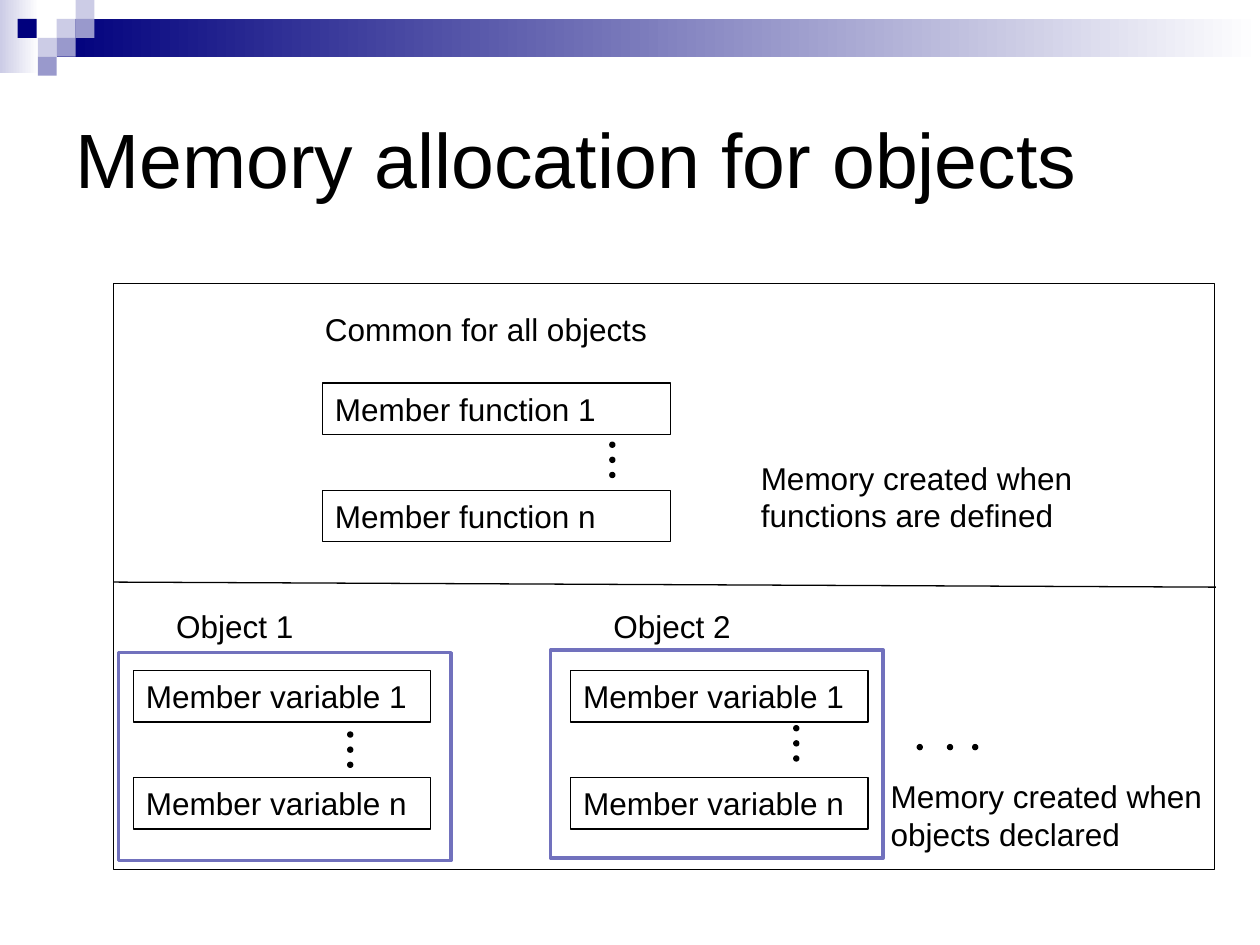
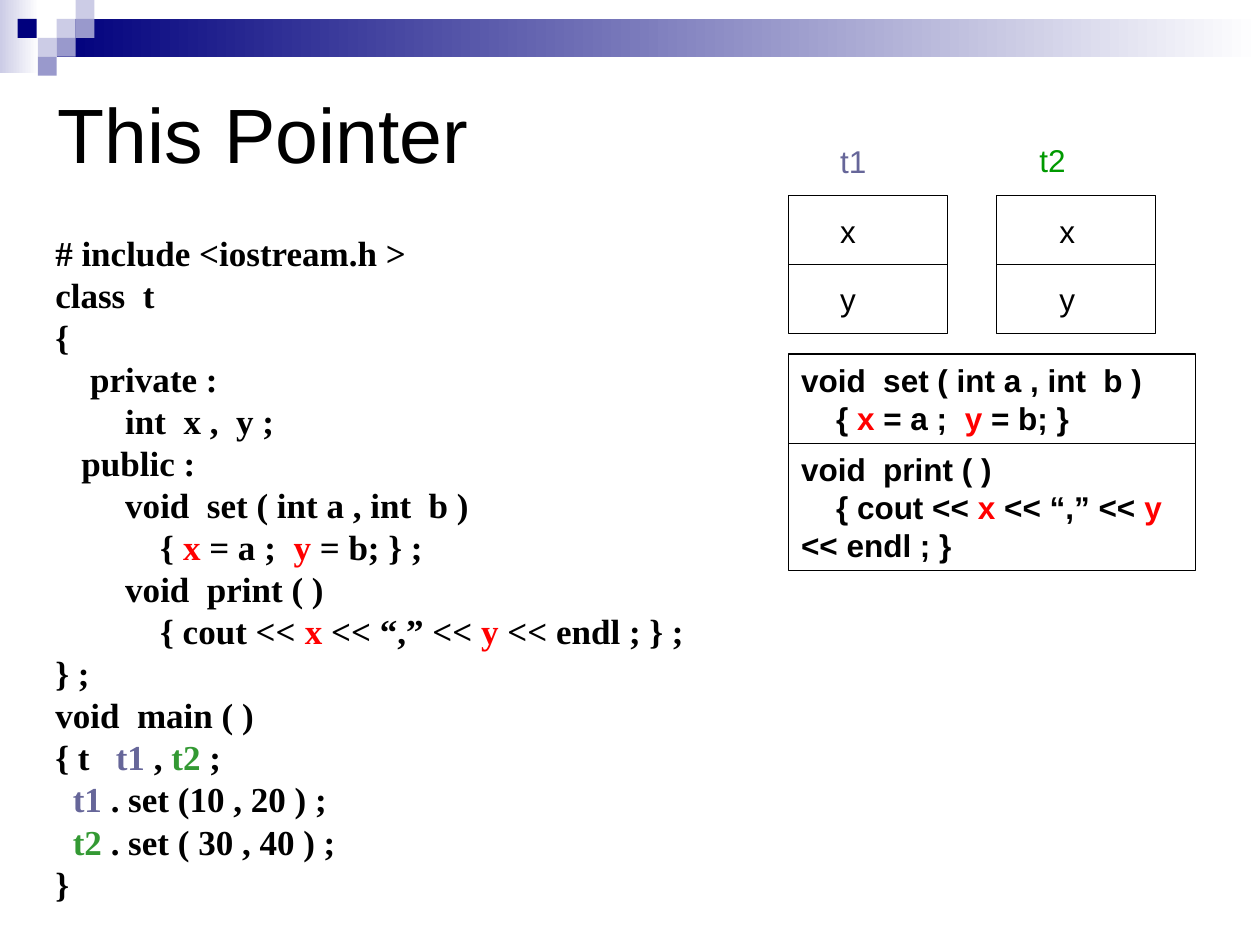
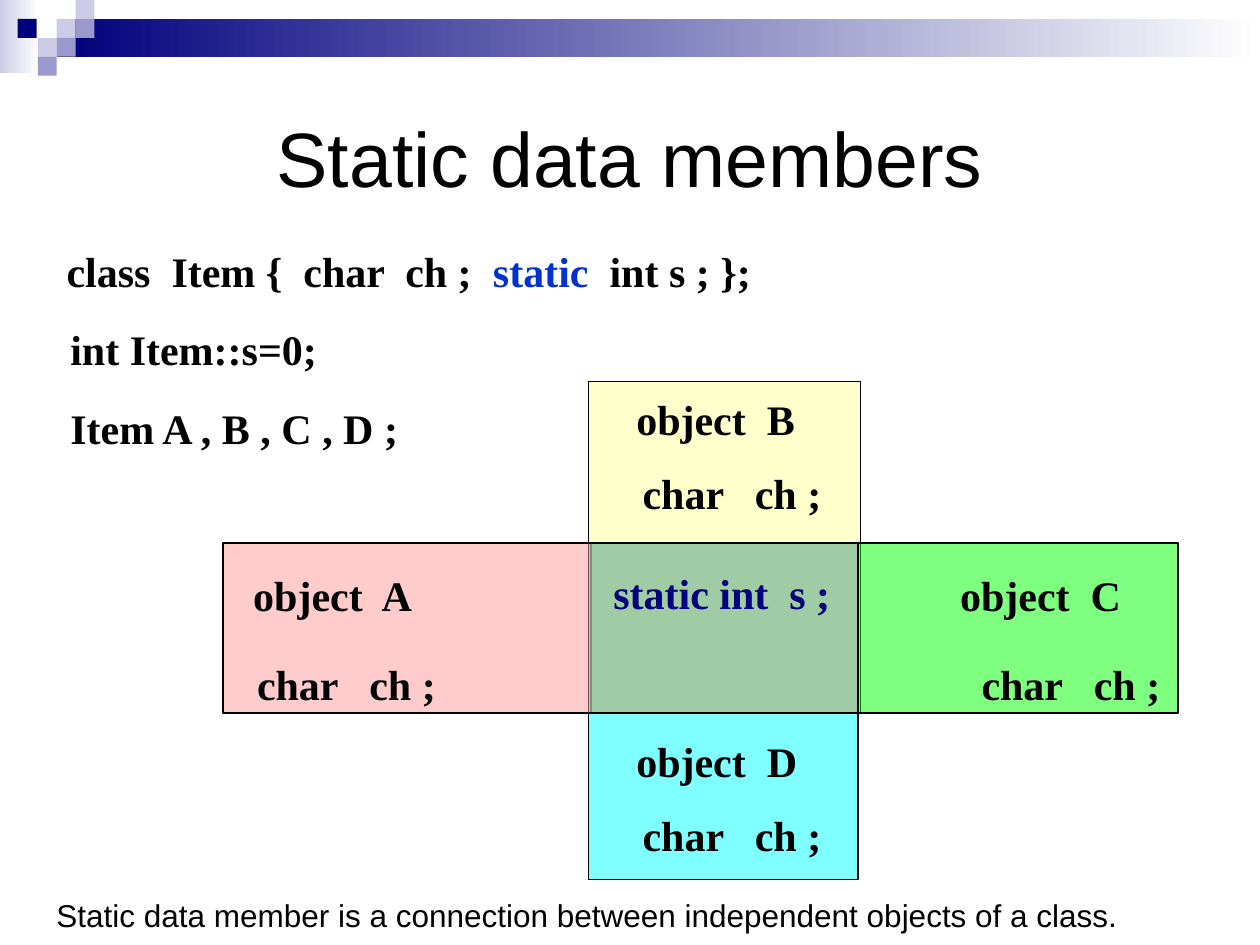
"""Build three slides on objects, the this pointer and static members in C++."""
from pptx import Presentation
from pptx.dml.color import RGBColor
from pptx.enum.shapes import MSO_CONNECTOR as Connector, MSO_SHAPE as Shape
from pptx.enum.text import MSO_ANCHOR as Anchor, PP_ALIGN as Align
from pptx.oxml.ns import qn
from pptx.util import Inches, Pt
from lxml.etree import SubElement

BLACK = RGBColor(0x00, 0x00, 0x00)
WHITE = RGBColor(0xFF, 0xFF, 0xFF)
NAVY = RGBColor(0x00, 0x00, 0x7D)
LAVENDER = RGBColor(0xCC, 0xCC, 0xE6)
PERIWINKLE = RGBColor(0x99, 0x99, 0xCC)
FRAME_BLUE = RGBColor(0x71, 0x71, 0xBD)
RED = RGBColor(0xFF, 0x00, 0x00)
SLATE = RGBColor(0x66, 0x66, 0x99)
CODE_GREEN = RGBColor(0x33, 0x99, 0x33)
LABEL_GREEN = RGBColor(0x00, 0x99, 0x00)
KEYWORD_BLUE = RGBColor(0x00, 0x33, 0xCC)
PALE_YELLOW = RGBColor(0xFF, 0xFF, 0x99)
LIME = RGBColor(0x00, 0xFF, 0x00)
CYAN = RGBColor(0x00, 0xFF, 0xFF)
PINK = RGBColor(0xFF, 0x99, 0x99)

SANS = "Arial"
SERIF = "Times New Roman"
TILE = 0.15
DOT = 0.04
DOT_STEP = 0.12
TILES = [
    (0.45, 0.15, LAVENDER), (0.6, 0, LAVENDER), (0.6, 0.15, PERIWINKLE),
    (0.3, 0.3, LAVENDER), (0.14, 0.15, NAVY), (0.45, 0.3, PERIWINKLE),
    (0.3, 0.45, PERIWINKLE),
]

SET_BODY = ["{ ", ("x", RED), " = a ;  ", ("y", RED), " = b; }"]
PRINT_BODY = ["{ cout << ", ("x ", RED), "<< “,” << ", ("y", RED), " << endl ; }"]
CLASS_CODE = [
    ["# include <iostream.h >"],
    ["class  t"],
    ["{"],
    ["    private :"],
    ["        int  x ,  y ;"],
    ["   public :"],
    ["        void  set ( int a , int  b )"],
    ["            ", *SET_BODY, " ;"],
    ["        void  print ( )"],
    ["            ", *PRINT_BODY, " ;"],
    ["} ;"],
    ["void  main ( )"],
    ["{ t   ", ("t1 ", SLATE), ", ", ("t2 ", CODE_GREEN), ";"],
    ["  ", ("t1 ", SLATE), ". set (10 , 20 ) ;"],
    ["  ", ("t2 ", CODE_GREEN), ". set ( 30 , 40 ) ;"],
    ["}"],
]


def inches(*lengths):
    """Turn plain numbers into lengths."""
    return [Inches(length) for length in lengths]


def write(box, lines, size=18, font=SANS, bold=False, anchor=Anchor.MIDDLE,
          align=Align.LEFT, spacing=None, gap=0, indents=()):
    """Write lines, each a list of plain strings or (text, colour) spans."""
    frame = box.text_frame
    frame.word_wrap = True
    frame.vertical_anchor = anchor
    for number, line in enumerate(lines):
        para = frame.add_paragraph() if number else frame.paragraphs[0]
        para.alignment = align
        para.line_spacing = spacing
        para.space_before = Pt(gap if number else 0)
        if indents:
            para._p.get_or_add_pPr().set("marL", str(Inches(indents[number])))
        for part in line:
            text, color = (part, BLACK) if isinstance(part, str) else part
            span = para.add_run()
            span.text = text
            span.font.name = font
            span.font.size = Pt(size)
            span.font.bold = bold
            span.font.color.rgb = color


def add_text(page, at, lines, **style):
    """Add a text box and return it."""
    box = page.shapes.add_textbox(*inches(*at))
    write(box, lines, **style)
    return box


def add_box(page, at, fill=None, line=None, width=0.75, kind=Shape.RECTANGLE):
    """Add a preset shape with optional fill and outline."""
    box = page.shapes.add_shape(kind, *inches(*at))
    box.shadow.inherit = False
    if fill is None:
        box.fill.background()
    else:
        box.fill.solid()
        box.fill.fore_color.rgb = fill
    if line is None:
        box.line.fill.background()
    else:
        box.line.color.rgb = line
        box.line.width = Pt(width)
    return box


def add_text_box(page, at, lines, **style):
    """Add an outlined rectangle holding text."""
    write(add_box(page, at, line=BLACK), lines, **style)


def add_line(page, start, end):
    """Add a thin black line and return it."""
    line = page.shapes.add_connector(Connector.STRAIGHT, *inches(*start, *end))
    line.line.color.rgb = BLACK
    line.line.width = Pt(0.75)
    SubElement(line._element.spPr, qn("a:effectLst"))
    return line


def add_fade(page, at, color):
    """Add a rectangle fading from a colour to white."""
    fill = add_box(page, at).fill
    fill.gradient()
    fill.gradient_angle = 0
    for stop, shade in zip(fill.gradient_stops, (color, WHITE)):
        stop.color.rgb = shade


def add_dots(page, spots):
    """Add small black dots at the given places."""
    for left, top in spots:
        add_box(page, (left, top, DOT, DOT), BLACK, BLACK, kind=Shape.OVAL)


def add_dot_column(page, left, top):
    """Add three dots one below another."""
    add_dots(page, [(left, top + DOT_STEP * row) for row in range(3)])


def add_page(deck, title, at, align=Align.LEFT):
    """Add a slide with the top band, the tiles and a title."""
    page = deck.slides.add_slide(deck.slide_layouts[6])
    add_fade(page, (0, 0, 0.31, 0.58), LAVENDER)
    add_fade(page, (0.45, 0.15, 9.55, 0.3), NAVY)
    for left, top, color in TILES:
        add_box(page, (left, top, TILE, TILE), color)
    add_text(page, at, [[title]], size=44, align=align)
    return page


def add_member_pair(page, left, top, width, noun):
    """Add the boxes for the first and the last member."""
    for row, index in enumerate("1n"):
        add_text_box(page, (left, top + 0.85 * row, width, 0.41), [[f"{noun} {index}"]])


def add_object(page, number, left, frame_at, dots_at):
    """Add one object with its caption, variables, dots and frame."""
    add_text(page, (left + 0.24, 4.77, 2.05, 0.4), [[f"Object {number}"]])
    add_member_pair(page, left, 5.32, 2.36, "Member variable")
    add_dot_column(page, *dots_at)
    add_box(page, (*frame_at, 2.64, 1.65), line=FRAME_BLUE, width=2)


def add_instance(page, name, color, left, name_at, field_left):
    """Add a two-cell record with its name above."""
    top, width, height = 1.55, 1.26, 1.1
    record = add_box(page, (left, top, width, height), WHITE, BLACK)
    middle = top + height / 2
    divider = add_line(page, (left, middle), (left + width, middle))
    divider.begin_connect(record, 1)
    divider.end_connect(record, 3)
    add_text(page, (*name_at, 0.71, 0.4), [[(name, color)]])
    for row, field in enumerate("xy"):
        add_text(page, (field_left, 1.63 + 0.54 * row, 0.55, 0.4), [[field]])


def add_member_area(page, name, at, fill, indents, top_margin=0.09, spacing=1.0):
    """Add a half-transparent area for one object."""
    area = add_box(page, at, fill, BLACK)
    color = area._element.spPr.find(qn("a:solidFill"))[0]
    SubElement(color, qn("a:alpha"), val="50000")
    frame = area.text_frame
    frame.margin_left = frame.margin_right = 0
    frame.margin_top = Inches(top_margin)
    write(area, [[f"object  {name}"], ["char   ch ;"]], size=24, font=SERIF,
          bold=True, anchor=Anchor.TOP, spacing=spacing, gap=13.5, indents=indents)


def build_memory(deck):
    """Show what is allocated once and what per object."""
    page = add_page(deck, "Memory allocation for objects", (0.5, 0.5, 9, 1.5))
    add_box(page, (0.9, 2.25, 8.74, 4.65), line=BLACK)
    add_line(page, (0.9, 4.62), (9.65, 4.66))
    add_text(page, (2.48, 2.41, 4.8, 0.4), [["Common for all objects"]])
    add_member_pair(page, 2.56, 3.04, 2.76, "Member function")
    add_dot_column(page, 4.84, 3.51)
    add_text(page, (5.94, 3.59, 3, 0.7), [["Memory created when functions are defined"]])
    add_object(page, 1, 1.06, (0.94, 5.18), (2.76, 5.81))
    add_object(page, 2, 4.53, (4.37, 5.16), (6.3, 5.76))
    add_dots(page, [(left, 5.91) for left in (7.28, 7.52, 7.72)])
    add_text(page, (6.97, 6.12, 3, 0.7), [["Memory created when objects declared"]])


def build_pointer(deck):
    """Show a class beside its two instances and shared functions."""
    page = add_page(deck, "This Pointer", (0.36, 0.6, 8, 0.91))
    add_text(page, (0.34, 1.79, 8.52, 5.49), CLASS_CODE, size=20, font=SERIF,
             bold=True, anchor=Anchor.TOP, spacing=Pt(24))
    add_instance(page, "t1", SLATE, 6.26, (6.57, 1.08), 6.57)
    add_instance(page, "t2", LABEL_GREEN, 7.91, (8.15, 1.07), 8.31)
    add_text_box(page, (6.26, 2.81, 3.23, 0.71),
                 [["void  set ( int a , int  b )"], ["    ", *SET_BODY]], bold=True)
    add_text_box(page, (6.26, 3.52, 3.23, 1.01),
                 [["void  print ( )"], ["    ", *PRINT_BODY]], bold=True)


def build_static(deck):
    """Show four objects overlapping in one static member."""
    page = add_page(deck, "Static data members", (0.5, 0.49, 9, 1.5), Align.CENTER)
    code = add_text(
        page, (0.29, 1.82, 6.73, 1.84),
        [["class  Item {  char  ch ;  ", ("static ", KEYWORD_BLUE), " int s ; };"],
         ["int Item::s=0;"], ["Item A , B , C , D ;"]],
        size=24, font=SERIF, bold=True, anchor=Anchor.TOP, spacing=1.1, gap=13,
        indents=(0.14, 0.17, 0.17))
    code.text_frame.margin_top = Inches(0.09)
    add_member_area(page, "B", (4.67, 3.03, 2.16, 2.63), PALE_YELLOW, (0.38, 0.43))
    add_member_area(page, "C", (4.69, 4.31, 4.66, 1.35), LIME, (2.93, 3.1), spacing=1.3)
    add_member_area(page, "D", (4.67, 4.31, 2.14, 2.67), CYAN, (0.38, 0.43), 1.53)
    add_member_area(page, "A", (1.77, 4.31, 5.04, 1.35), PINK, (0.24, 0.27), spacing=1.3)
    add_text(page, (4.77, 4.46, 2.04, 0.49), [[("static int  s ;", NAVY)]],
             size=24, font=SERIF, bold=True)
    add_text(page, (0.35, 7.06, 8.74, 0.4),
             [["Static data member is a connection between independent objects of a class."]])


def main():
    """Build and save the deck."""
    deck = Presentation()
    deck.slide_width, deck.slide_height = inches(10, 7.5)
    build_memory(deck)
    build_pointer(deck)
    build_static(deck)
    deck.save("out.pptx")


if __name__ == "__main__":
    main()
